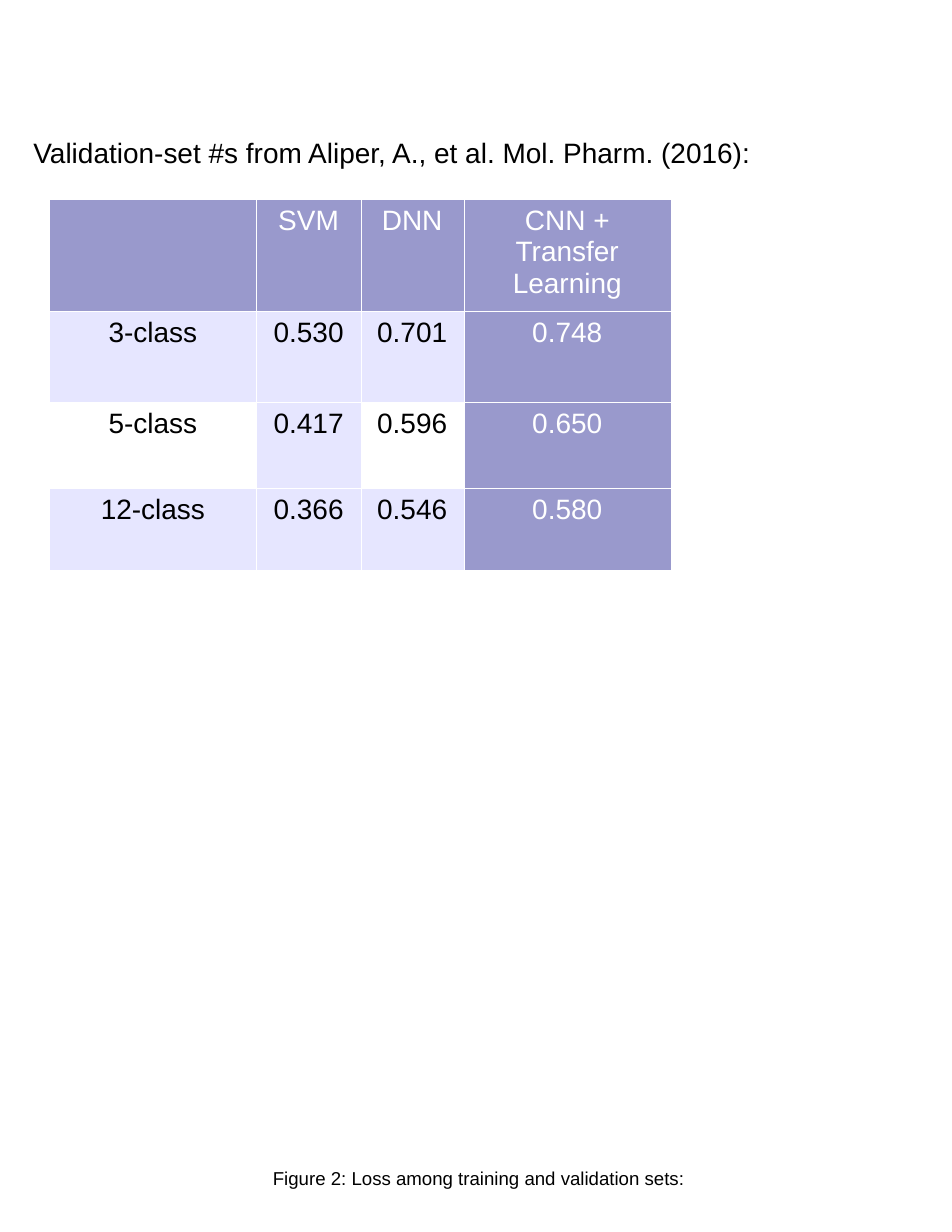
from lxml import etree
from pptx import Presentation
from pptx.dml.color import RGBColor
from pptx.enum.text import MSO_ANCHOR, PP_ALIGN
from pptx.oxml.ns import qn
from pptx.util import Inches, Pt

LEFT, CENTER = PP_ALIGN.LEFT, PP_ALIGN.CENTER
TOP, MIDDLE = MSO_ANCHOR.TOP, MSO_ANCHOR.MIDDLE
BLACK, WHITE, PURPLE, LILAC = "000000", "FFFFFF", "9999CC", "E6E6FF"
COLS, ROWS = 85, 110

SCORES = [
    ["", "SVM", "DNN", "CNN + Transfer Learning"],
    ["3-class", "0.530", "0.701", "0.748"],
    ["5-class", "0.417", "0.596", "0.650"],
    ["12-class", "0.366", "0.546", "0.580"],
]


def color(hex_text):
    return RGBColor.from_string(hex_text)


class Page:
    """Style and current slide; lengths are grid columns and rows."""
    font = "Arial"
    border = Pt(0.06)

    def __init__(self, prs):
        self.cell_w = prs.slide_width / COLS
        self.cell_h = prs.slide_height / ROWS
        self.s = prs.slides.add_slide(prs.slide_layouts[6])

    def x(self, cols):
        return round(cols * self.cell_w)

    def y(self, rows):
        return round(rows * self.cell_h)

    def box(self, left, top, width, height):
        return self.x(left), self.y(top), self.x(width), self.y(height)

    def add_words(self, tf, text, size, ink, align):
        p = tf.paragraphs[0]
        p.alignment = align
        r = p.add_run()
        r.text = text
        formats = {"name": self.font, "size": Pt(size)}
        for name, value in formats.items():
            setattr(r.font, name, value)
        r.font.color.rgb = color(ink)

    def text(self, at, text, size, align=LEFT, **frame):
        tf = self.s.shapes.add_textbox(*self.box(*at)).text_frame
        for name, value in frame.items():
            setattr(tf, name, value)
        self.add_words(tf, text, size, BLACK, align)

    def outline(self, cell):
        """Draw a thin white line on all four sides of a cell."""
        tc_pr = cell._tc.get_or_add_tcPr()
        for i, side in enumerate(("lnL", "lnR", "lnT", "lnB")):
            ln = etree.Element(qn(f"a:{side}"), w=str(self.border))
            fill = etree.SubElement(ln, qn("a:solidFill"))
            etree.SubElement(fill, qn("a:srgbClr"), val=WHITE)
            tc_pr.insert(i, ln)

    def table(self, left, top, widths, heights, values, size):
        at = self.box(left, top, sum(widths), sum(heights))
        table = self.s.shapes.add_table(len(heights), len(widths), *at).table
        for column, width in zip(table.columns, widths):
            column.width = self.x(width)
        for row, height in zip(table.rows, heights):
            row.height = self.y(height)
        for i, row in enumerate(values):
            for j, value in enumerate(row):
                cell = table.cell(i, j)
                strong = i == 0 or j == len(row) - 1
                banded = i % 2 == 1 or j == 1
                back = PURPLE if strong else LILAC if banded else WHITE
                cell.fill.solid()
                cell.fill.fore_color.rgb = color(back)
                self.outline(cell)
                if value:
                    ink = WHITE if strong else BLACK
                    self.add_words(cell.text_frame, value, size, ink, CENTER)


def main():
    prs = Presentation()
    prs.slide_width, prs.slide_height = Inches(8.5), Inches(11)
    page = Page(prs)
    page.text((0.5, 103, 84.5, 4.4),
              "Figure 2: Loss among training and validation sets:", 12, CENTER,
              word_wrap=True, vertical_anchor=MIDDLE, margin_left=0,
              margin_right=0, margin_top=0, margin_bottom=0)
    page.text((2, 11.6, 66, 9.4),
              "Validation-set #s from Aliper, A., et al. Mol. Pharm. (2016):",
              18, word_wrap=False, vertical_anchor=TOP)
    page.table(4.4, 17.8, (18.5, 9.3, 9.2, 18.5), (8.4, 8.1, 7.7, 7.3),
               SCORES, 18)
    prs.save("out.pptx")


if __name__ == "__main__":
    main()
